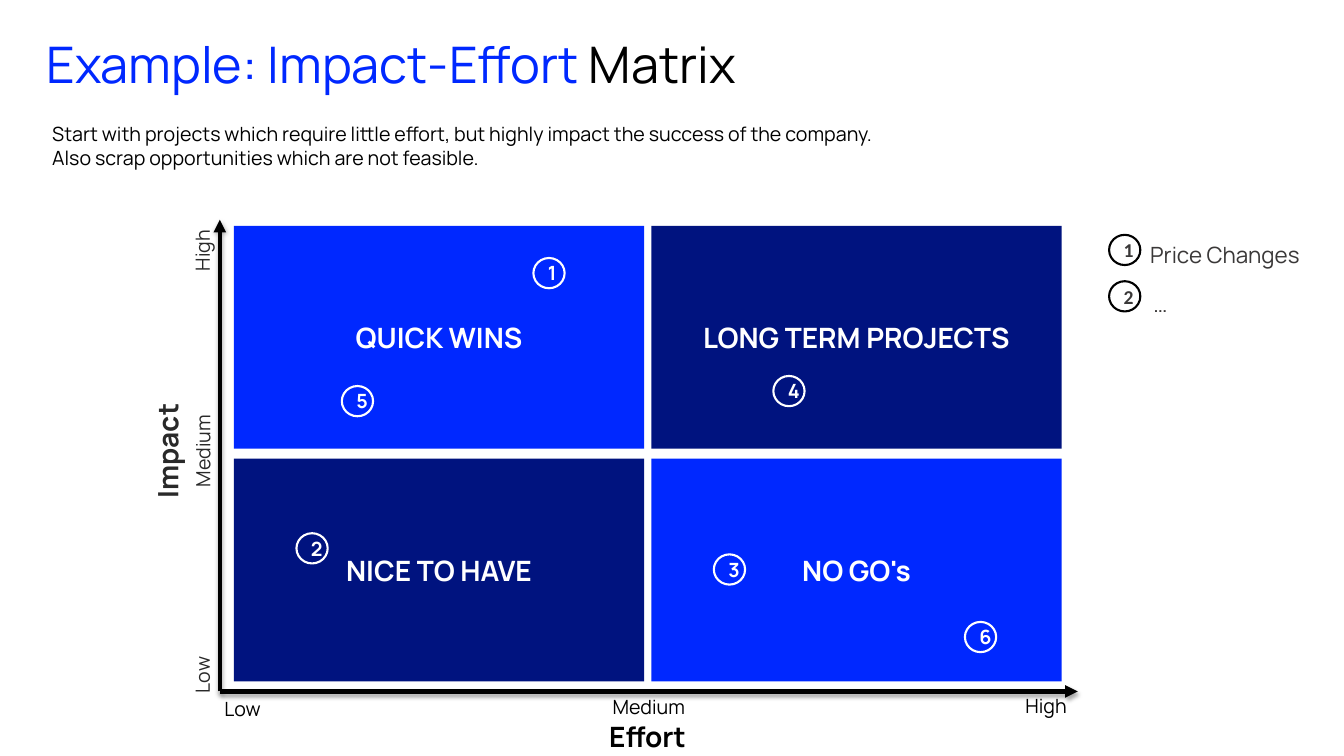
import pptx
import pptx.dml.color
import pptx.enum.shapes
import pptx.enum.text
import pptx.oxml
import pptx.oxml.ns
import pptx.util
from pptx.util import Inches

COLORS = {
    "blue": "0028FF",
    "navy": "00137F",
    "black": "000000",
    "white": "FFFFFF",
    "charcoal": "292929",
    "gray": "3A3838",
}
FONT = "Manrope"
ALIGN = pptx.enum.text.PP_ALIGN
SHAPE = pptx.enum.shapes.MSO_SHAPE

MATRIX_LEFT, MATRIX_TOP = 2.32, 2.24
CELL_W, CELL_H = 4.07, 2.21
GAP_X, GAP_Y = 0.07, 0.1
ORIGIN = (2.18, 6.86)
MARKER_W, MARKER_H = 0.31, 0.3

QUADRANTS = [
    [("QUICK WINS", "blue"), ("LONG TERM PROJECTS", "navy")],
    [("NICE TO HAVE", "navy"), ("NO GO's", "blue")],
]
# Left and top of each project marker, in numeric order
PROJECTS = [(5.29, 2.56), (2.94, 5.29), (7.08, 5.5),
            (7.67, 3.73), (3.39, 3.83), (9.57, 6.17)]
# Text, left, top, width, height
EFFORT_SCALE = [
    ("Low", 2.05, 6.89, 0.71, 0.25),
    ("Medium", 5.84, 6.87, 1.19, 0.25),
    ("High", 10.02, 6.86, 0.71, 0.25),
]
IMPACT_SCALE = [
    ("High", 1.6, 2.37, 0.76, 0.23),
    ("Medium", 1.46, 4.37, 1.03, 0.21),
    ("Low", 1.6, 6.58, 0.76, 0.23),
]


def rgb(color):
    return pptx.dml.color.RGBColor.from_string(COLORS[color])


def add_run(paragraph, text, size, color, bold=False, font=FONT):
    run = paragraph.add_run()
    run.text = text
    run.font.name = font
    run.font.size = pptx.util.Pt(size)
    run.font.bold = bold
    run.font.color.rgb = rgb(color)


def add_text_box(slide, left, top, width, height):
    """Add an empty wrapping text box and return its frame and shape."""
    box = slide.shapes.add_textbox(
        Inches(left), Inches(top), Inches(width), Inches(height))
    box.text_frame.word_wrap = True
    return box.text_frame, box


def add_title(slide):
    frame, _ = add_text_box(slide, 0.46, 0.4, 12.41, 1.12)
    frame.margin_left = frame.margin_right = 0
    frame.margin_top = frame.margin_bottom = 0
    title = frame.paragraphs[0]
    title.line_spacing = 0.9
    add_run(title, "Example: Impact-Effort", 36, "blue")
    add_run(title, " Matrix", 36, "black")


def add_intro(slide):
    frame, _ = add_text_box(slide, 0.42, 1.16, 11.5, 0.41)
    intro = frame.paragraphs[0]
    add_run(intro, "Start with projects which require little effort, "
            "but highly impact the success of the company.", 14, "black")
    intro.add_line_break()
    add_run(intro, "Also scrap opportunities which are not feasible.", 14, "black")


def add_axis_label(slide, text, left, top, width, height,
                   size=14, color="black", bold=False, rotation=0):
    frame, box = add_text_box(slide, left, top, width, height)
    box.rotation = rotation
    label = frame.paragraphs[0]
    label.alignment = ALIGN.CENTER
    label.line_spacing = 0.9
    add_run(label, text, size, color, bold)


def add_axis(slide, end_x, end_y):
    """Draw a shadowed arrow from the matrix origin to the given point."""
    axis = slide.shapes.add_connector(
        pptx.enum.shapes.MSO_CONNECTOR.STRAIGHT,
        Inches(ORIGIN[0]), Inches(ORIGIN[1]), Inches(end_x), Inches(end_y))
    axis.line.color.rgb = rgb("black")
    axis.line.width = pptx.util.Pt(3)
    namespace = pptx.oxml.ns.nsdecls("a")
    axis.line._get_or_add_ln().append(
        pptx.oxml.parse_xml(f'<a:tailEnd {namespace} type="triangle"/>'))
    axis._element.spPr.append(pptx.oxml.parse_xml(
        f'<a:effectLst {namespace}>'
        f'<a:outerShdw blurRad="{pptx.util.Pt(3.1)}" dist="{pptx.util.Pt(1.8)}" '
        'dir="5400000" rotWithShape="0">'
        f'<a:srgbClr val="{COLORS["black"]}"><a:alpha val="35000"/></a:srgbClr>'
        '</a:outerShdw></a:effectLst>'))


def add_centered_shape(slide, kind, left, top, width, height):
    """Add an unshadowed shape; return it with its centred paragraph."""
    shape = slide.shapes.add_shape(
        kind, Inches(left), Inches(top), Inches(width), Inches(height))
    shape.shadow.inherit = False
    shape.text_frame.word_wrap = True
    shape.text_frame.vertical_anchor = pptx.enum.text.MSO_ANCHOR.MIDDLE
    paragraph = shape.text_frame.paragraphs[0]
    paragraph.alignment = ALIGN.CENTER
    return shape, paragraph


def add_quadrant(slide, row, column, name, color):
    quadrant, label = add_centered_shape(
        slide, SHAPE.RECTANGLE,
        MATRIX_LEFT + column * (CELL_W + GAP_X),
        MATRIX_TOP + row * (CELL_H + GAP_Y), CELL_W, CELL_H)
    quadrant.fill.solid()
    quadrant.fill.fore_color.rgb = rgb(color)
    quadrant.line.fill.background()
    add_run(label, name, 20, "white", bold=True)


def add_marker(slide, number, left, top,
               outline="white", color="white", font=FONT):
    marker, label = add_centered_shape(
        slide, SHAPE.OVAL, left, top, MARKER_W, MARKER_H)
    marker.fill.background()
    marker.line.color.rgb = rgb(outline)
    marker.line.width = pptx.util.Pt(1.5)
    add_run(label, str(number), 14, color, bold=True, font=font)


def add_legend_entry(slide, number, marker_top, text, left, top, width):
    add_marker(slide, number, 11, marker_top, "black", "gray", "Calibri")
    frame, _ = add_text_box(slide, left, top, width, 0.37)
    add_run(frame.paragraphs[0], text, 16, "gray")


def main():
    presentation = pptx.Presentation()
    presentation.slide_width = Inches(13.33)
    presentation.slide_height = Inches(7.5)
    slide = presentation.slides.add_slide(presentation.slide_layouts[6])

    add_title(slide)
    add_intro(slide)

    add_axis(slide, ORIGIN[0], 2.18)
    for row, quadrants in enumerate(QUADRANTS):
        for column, (name, color) in enumerate(quadrants):
            add_quadrant(slide, row, column, name, color)

    add_axis_label(slide, "Effort ", 2.34, 7.13, 8.22, 0.25, size=20, bold=True)
    add_axis_label(slide, "Impact", 0.76, 4.28, 1.83, 0.39, size=20,
                   color="charcoal", bold=True, rotation=270)
    for level in EFFORT_SCALE:
        add_axis_label(slide, *level)
    for level in IMPACT_SCALE:
        add_axis_label(slide, *level, color="charcoal", rotation=270)

    for number, (left, top) in enumerate(PROJECTS, start=1):
        add_marker(slide, number, left, top)
    add_legend_entry(slide, 1, 2.33, "Price Changes", 11.31, 2.34, 1.81)
    add_legend_entry(slide, 2, 2.79, "…", 11.34, 2.83, 0.32)
    add_axis(slide, 10.69, ORIGIN[1])

    presentation.save("out.pptx")


if __name__ == "__main__":
    main()
